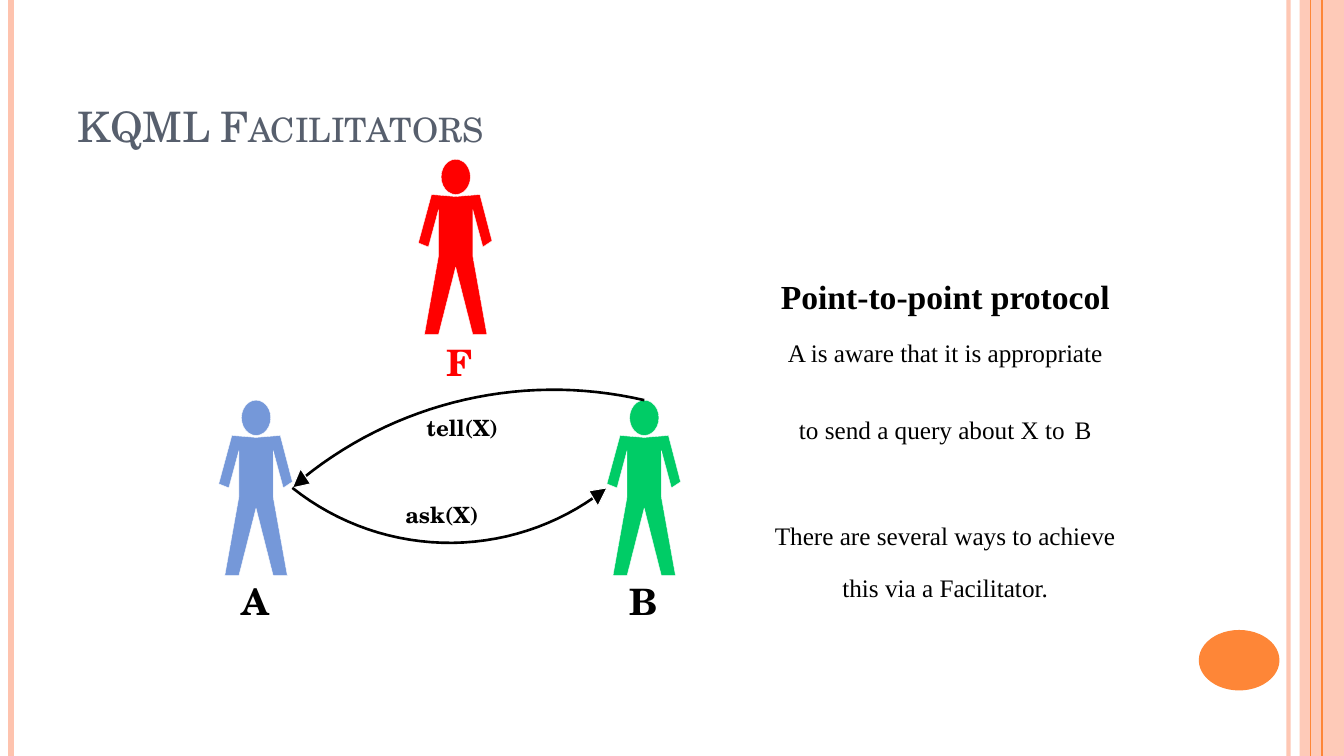
from dataclasses import dataclass
from math import atan, cos, hypot, sin
from typing import Optional

from lxml.etree import SubElement
from pptx import Presentation
from pptx.dml.color import RGBColor
from pptx.enum.shapes import MSO_CONNECTOR as CONN, MSO_SHAPE as SHAPE
from pptx.enum.text import MSO_ANCHOR as ANCHOR, MSO_AUTO_SIZE as AUTO, PP_ALIGN as ALIGN
from pptx.oxml.ns import qn
from pptx.util import Inches, Pt

Point = tuple[float, float]


@dataclass(frozen=True)
class Theme:
    serif: str = "TeX Gyre Schola"
    body: str = "Times New Roman"
    orange: str = "FE8637"
    peach: str = "FEC3AE"
    slate: str = "575F6D"
    black: str = "000000"
    white: str = "FFFFFF"
    red: str = "FF0000"
    blue: str = "7598D9"
    green: str = "00CC66"
    title_size: float = 30
    name_size: float = 26
    message_size: float = 16
    heading_size: float = 24
    text_size: float = 18
    gap_size: float = 28


@dataclass(frozen=True)
class Stripe:
    x: float
    color: str
    width: float
    opacity: int = 100


@dataclass(frozen=True)
class Agent:
    center: float
    top: float
    color: str


@dataclass(frozen=True)
class Label:
    text: str
    x: float
    y: float
    width: float
    height: float
    size: float
    color: str


@dataclass(frozen=True)
class Message:
    start: Point
    end: Point
    bulge: float
    arrowhead: list[Point]


@dataclass(frozen=True)
class Line:
    text: str
    size: float
    spacing: float = 1.7
    bold: bool = False
    before: float = 0


T = Theme()
SLIDE_W, SLIDE_H = 13.33, 7.5

STRIPES = [
    Stripe(12.78, T.peach, 3, 93),
    Stripe(0.11, T.peach, 4.5),
    Stripe(13.11, T.orange, 1.5),
    Stripe(13, T.orange, 0.75),
]
AGENTS = [Agent(4.52, 1.58, T.red), Agent(2.54, 3.97, T.blue), Agent(6.39, 3.97, T.green)]
HEAD_W, HEAD_H = 0.29, 0.35
# Offsets from the top centre of the head
BODY = [(0, 1.07), (0.17, 1.74), (0.31, 1.74), (0.17, 0.96), (0.17, 0.5), (0.27, 0.87),
        (0.36, 0.81), (0.24, 0.35), (0, 0.37), (-0.24, 0.35), (-0.37, 0.83), (-0.27, 0.87),
        (-0.17, 0.5), (-0.17, 0.96), (-0.31, 1.74), (-0.17, 1.74)]
LABELS = [
    Label("A", 2.4, 5.75, 0.28, 0.44, T.name_size, T.black),
    Label("B", 6.24, 5.75, 0.28, 0.44, T.name_size, T.black),
    Label("F", 4.43, 3.37, 0.26, 0.44, T.name_size, T.red),
    Label("ask(X)", 4.02, 4.97, 0.73, 0.27, T.message_size, T.black),
    Label("tell(X)", 4.23, 4.11, 0.72, 0.27, T.message_size, T.black),
]
MESSAGES = [
    Message((3.01, 4.74), (6.39, 3.97), 0.4, [(3.08, 4.8), (2.9, 4.84), (2.98, 4.65)]),
    Message((2.9, 4.84), (5.9, 4.93), -0.5, [(5.84, 4.87), (6.02, 4.84), (5.93, 5.02)]),
]
LINES = [
    Line("Point-to-point protocol", T.heading_size, 1.9, True),
    Line("A is aware that it is appropriate", T.text_size),
    Line("to send a query about X to B", T.text_size),
    Line("There are several ways to achieve this via a Facilitator.", T.text_size, before=37),
]


def rgb(color: str) -> RGBColor:
    return RGBColor.from_string(color)


def style_run(r, font: str, size: float, color: str, bold: bool = False) -> None:
    r.font.name, r.font.size, r.font.bold = font, Pt(size), bold
    r.font.color.rgb = rgb(color)


def set_opacity(fill, percent: int) -> None:
    """Make a solid fill partly transparent."""
    color = fill._xPr.find(qn("a:solidFill"))[0]
    SubElement(color, qn("a:alpha")).set("val", str(percent * 1000))


def style_shape(s, fill: Optional[str], line: Optional[str] = None, width: float = 0) -> None:
    s.shadow.inherit = False
    if fill:
        s.fill.solid()
        s.fill.fore_color.rgb = rgb(fill)
    else:
        s.fill.background()
    if line:
        s.line.color.rgb = rgb(line)
        s.line.width = Pt(width)
    else:
        s.line.fill.background()


def add_outline(shapes, points: list[Point], closed: bool = True):
    emu = [(Inches(x), Inches(y)) for x, y in points]
    builder = shapes.build_freeform(*emu[0], scale=1.0)
    builder.add_line_segments(emu[1:], close=closed)
    return builder.convert_to_shape()


def arc_points(start: Point, end: Point, bulge: float, steps: int = 30) -> list[Point]:
    """Sample a circular arc that rises by bulge above its chord."""
    (x0, y0), (x1, y1) = start, end
    chord = hypot(x1 - x0, y1 - y0)
    ux, uy = (x1 - x0) / chord, (y1 - y0) / chord
    half = 2 * atan(2 * bulge / chord)
    radius = chord / (2 * sin(half))
    points = []
    for i in range(steps + 1):
        t = half * (2 * i / steps - 1)
        along, up = radius * sin(t), radius * (cos(t) - cos(half))
        points.append(((x0 + x1) / 2 + along * ux + up * uy,
                       (y0 + y1) / 2 + along * uy - up * ux))
    return points


def add_stripe(shapes, stripe: Stripe) -> None:
    x = Inches(stripe.x)
    s = shapes.add_connector(CONN.STRAIGHT, x, 0, x, Inches(SLIDE_H))
    s.line.color.rgb = rgb(stripe.color)
    s.line.width = Pt(stripe.width)
    if stripe.opacity < 100:
        set_opacity(s.line.fill, stripe.opacity)
    SubElement(s._element.spPr, qn("a:effectLst"))


def add_frame(shapes) -> None:
    band = shapes.add_shape(SHAPE.RECTANGLE, Inches(12.89), 0, Inches(0.44), Inches(SLIDE_H))
    style_shape(band, T.peach)
    set_opacity(band.fill, 87)
    for stripe in STRIPES:
        add_stripe(shapes, stripe)
    disc = shapes.add_shape(SHAPE.OVAL, Inches(11.89), Inches(6.25), Inches(0.8), Inches(0.6))
    style_shape(disc, T.orange)


def add_agent(shapes, agent: Agent) -> None:
    group = shapes.add_group_shape().shapes
    head = group.add_shape(SHAPE.OVAL, Inches(agent.center - HEAD_W / 2), Inches(agent.top),
                           Inches(HEAD_W), Inches(HEAD_H))
    body = add_outline(group, [(agent.center + dx, agent.top + dy) for dx, dy in BODY])
    for s in (head, body):
        style_shape(s, agent.color, T.white, 0.25)


def add_message(shapes, message: Message) -> None:
    curve = add_outline(shapes, arc_points(message.start, message.end, message.bulge), False)
    style_shape(curve, None, T.black, 1.88)
    style_shape(add_outline(shapes, message.arrowhead), T.black, T.white, 0.75)


def add_label(shapes, label: Label) -> None:
    tf = shapes.add_textbox(Inches(label.x), Inches(label.y), Inches(label.width),
                            Inches(label.height)).text_frame
    tf.margin_left = tf.margin_right = tf.margin_top = tf.margin_bottom = 0
    tf.word_wrap = False
    tf.text = label.text
    style_run(tf.paragraphs[0].runs[0], T.serif, label.size, label.color, True)


def set_title(title) -> None:
    title.left, title.top, title.width, title.height = map(Inches, (0.67, 0.3, 10.89, 1.25))
    tf = title.text_frame
    tf.text = "KQML Facilitators"
    tf.vertical_anchor, tf.auto_size = ANCHOR.BOTTOM, AUTO.NONE
    p = tf.paragraphs[0]
    p.alignment = ALIGN.LEFT
    style_run(p.runs[0], T.serif, T.title_size, T.slate)
    p.runs[0].font._element.set("cap", "small")


def add_explanation(shapes) -> None:
    tf = shapes.add_textbox(*map(Inches, (7.5, 2.33, 3.75, 3.69))).text_frame
    tf.word_wrap = True
    for i, line in enumerate(LINES):
        p = tf.paragraphs[0] if i == 0 else tf.add_paragraph()
        p.alignment, p.line_spacing, p.space_before = ALIGN.CENTER, line.spacing, Pt(line.before)
        # The gap before a closing "B" is set in a larger size
        parts = [line.text[:-2], " ", "B"] if line.text.endswith(" B") else [line.text]
        for part in parts:
            r = p.add_run()
            r.text = part
            style_run(r, T.body, T.gap_size if part == " " else line.size, T.black, line.bold)


def main() -> None:
    prs = Presentation()
    prs.slide_width, prs.slide_height = Inches(SLIDE_W), Inches(SLIDE_H)
    shapes = prs.slides.add_slide(prs.slide_layouts[5]).shapes
    add_frame(shapes)
    for agent in AGENTS:
        add_agent(shapes, agent)
    for message in MESSAGES:
        add_message(shapes, message)
    for label in LABELS:
        add_label(shapes, label)
    set_title(shapes.title)
    add_explanation(shapes)
    prs.save("out.pptx")


if __name__ == "__main__":
    main()
